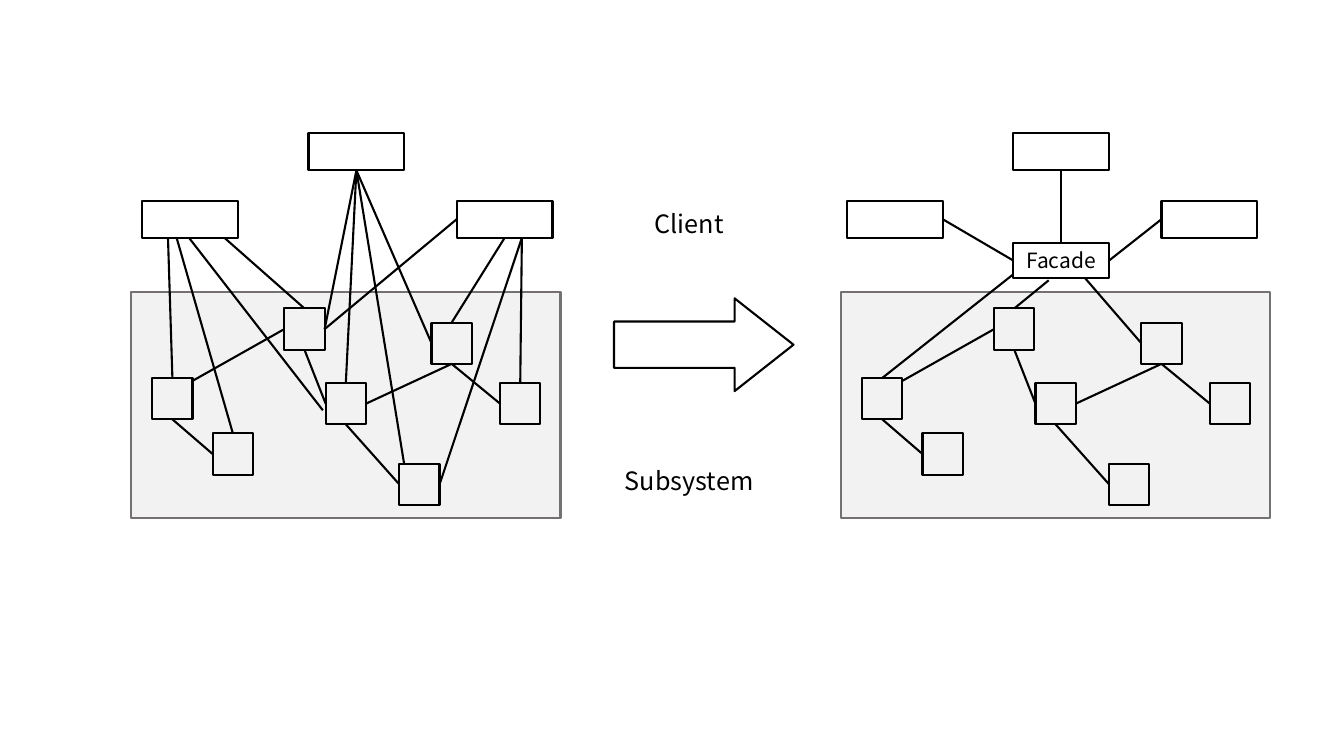
import pptx
import pptx.util
import pptx.dml.color
import pptx.enum.shapes
import pptx.enum.text
from dataclasses import dataclass

COLUMNS, ROWS = 1333, 750
TOP, BOTTOM, LEFT, RIGHT = (0.5, 0), (0.5, 1), (0, 0.5), (1, 0.5)

PANEL_SIZE, CLIENT_SIZE, FACADE_SIZE, MODULE_SIZE = (426, 224), (95, 37), (95, 35), (40, 41)
PANEL_TOP = 290
CLIENTS = {"first": (11, 199), "second": (176, 132), "third": (323, 199)}
FACADE = (171, 241)
MODULES = {
    "a": (21, 375), "b": (152, 306), "c": (298, 320), "d": (81, 430),
    "e": (193, 380), "f": (366, 380), "g": (266, 460),
}

MODULE_LINKS = [
    ("b", LEFT, "a", (1, 0.07)),
    ("a", BOTTOM, "d", LEFT),
    ("b", BOTTOM, "e", LEFT),
    ("c", BOTTOM, "e", RIGHT),
    ("e", BOTTOM, "g", LEFT),
    ("c", BOTTOM, "f", LEFT),
]
DIRECT_LINKS = [
    ("first", (0.27, 1), "a", TOP),
    ("first", (0.36, 1), "d", TOP),
    ("first", (0.49, 1), "e", (-0.07, 0.66)),
    ("first", (0.86, 1), "b", TOP),
    ("second", BOTTOM, "b", RIGHT),
    ("second", BOTTOM, "e", TOP),
    ("second", BOTTOM, "c", LEFT),
    ("second", BOTTOM, "g", (0.12, 0)),
    ("third", BOTTOM, "c", TOP),
    ("third", (0.68, 1), "f", TOP),
    ("third", (0.68, 1), "g", RIGHT),
    ("third", LEFT, "b", RIGHT),
]
FACADE_LINKS = [
    ("facade", TOP, "second", BOTTOM),
    ("facade", LEFT, "first", RIGHT),
    ("facade", RIGHT, "third", LEFT),
    ("facade", (0.37, 1.06), "b", TOP),
    ("facade", (0, 0.89), "a", TOP),
    ("facade", (0.75, 1), "c", LEFT),
]
PANELS = [
    {"left": 130, "client_shift": 0, "facade": None, "links": DIRECT_LINKS},
    {"left": 834, "client_shift": -5, "facade": "Facade", "links": FACADE_LINKS},
]
LABELS = [("Client", (636, 202, 95, 40)), ("Subsystem", (604, 457, 159, 40))]
ARROW = (609, 296, 178, 92)


@dataclass(frozen=True)
class Theme:
    font: str = "Noto Sans CJK SC"
    ink: str = "000000"
    panel_fill: str = "F2F2F2"
    panel_line: str = "767171"
    label_size: int = 18
    facade_size: int = 15
    line_width: float = 1.5


THEME = Theme()
presentation = pptx.Presentation()
presentation.slide_width = pptx.util.Inches(13.33)
presentation.slide_height = pptx.util.Inches(7.5)
slide = presentation.slides.add_slide(presentation.slide_layouts[6])


def color(value):
    return pptx.dml.color.RGBColor.from_string(value)


def place(*lengths):
    extents = (presentation.slide_width / COLUMNS, presentation.slide_height / ROWS)
    return [round(length * extents[index % 2]) for index, length in enumerate(lengths)]


def write(shape, text, size):
    frame = shape.text_frame
    frame.word_wrap = True
    frame.auto_size = pptx.enum.text.MSO_AUTO_SIZE.NONE
    frame.vertical_anchor = pptx.enum.text.MSO_ANCHOR.MIDDLE
    paragraph = frame.paragraphs[0]
    paragraph.text = text
    paragraph.alignment = pptx.enum.text.PP_ALIGN.CENTER
    paragraph.font.name = THEME.font
    paragraph.font.size = pptx.util.Pt(size)
    paragraph.font.color.rgb = color(THEME.ink)


def add_outline(box, kind="RECTANGLE", fill=None, line=THEME.ink):
    shape = slide.shapes.add_shape(pptx.enum.shapes.MSO_SHAPE[kind], *place(*box))
    shape.shadow.inherit = False
    if fill:
        shape.fill.solid()
        shape.fill.fore_color.rgb = color(fill)
    else:
        shape.fill.background()
    shape.line.color.rgb = color(line)
    shape.line.width = pptx.util.Pt(THEME.line_width)
    return shape


def anchor(box, share):
    left, top, width, height = box
    return left + width * share[0], top + height * share[1]


def add_link(start, end):
    connector = slide.shapes.add_connector(
        pptx.enum.shapes.MSO_CONNECTOR.STRAIGHT, *place(*start, *end))
    connector.line.color.rgb = color(THEME.ink)
    connector.line.width = pptx.util.Pt(THEME.line_width)
    properties = connector._element.spPr
    properties.append(properties.makeelement(pptx.oxml.ns.qn("a:effectLst"), {}))


def add_panel(panel):
    left = panel["left"]
    add_outline((left, PANEL_TOP, *PANEL_SIZE), fill=THEME.panel_fill, line=THEME.panel_line)
    client_left = left + panel["client_shift"]
    boxes = {name: (client_left + x, y, *CLIENT_SIZE) for name, (x, y) in CLIENTS.items()}
    boxes.update({name: (left + x, y, *MODULE_SIZE) for name, (x, y) in MODULES.items()})
    if panel["facade"]:
        boxes["facade"] = (left + FACADE[0], FACADE[1], *FACADE_SIZE)
    shapes = {name: add_outline(box) for name, box in boxes.items()}
    if panel["facade"]:
        write(shapes["facade"], panel["facade"], THEME.facade_size)
    for start, start_share, end, end_share in MODULE_LINKS + panel["links"]:
        add_link(anchor(boxes[start], start_share), anchor(boxes[end], end_share))


def main():
    for panel in PANELS:
        add_panel(panel)
    arrow = add_outline(ARROW, kind="RIGHT_ARROW")
    arrow.adjustments[0] = 0.5
    arrow.adjustments[1] = 0.635
    for text, box in LABELS:
        write(slide.shapes.add_textbox(*place(*box)), text, THEME.label_size)
    presentation.save("out.pptx")


if __name__ == "__main__":
    main()
